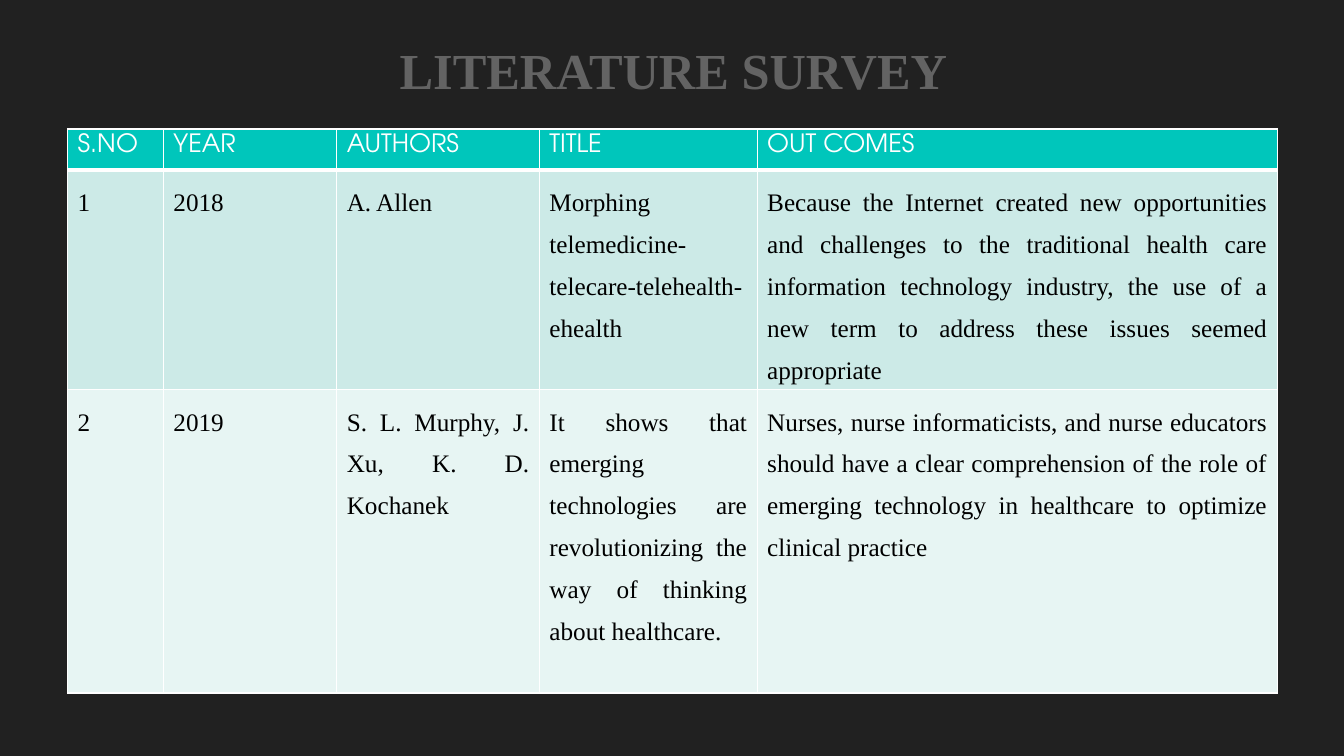
from dataclasses import dataclass

from lxml import etree
from pptx import Presentation
from pptx.dml.color import RGBColor
from pptx.enum.text import PP_ALIGN
from pptx.oxml.ns import qn
from pptx.table import _Cell
from pptx.text.text import TextFrame
from pptx.util import Inches, Pt

LEFT, CENTER, JUSTIFY = PP_ALIGN.LEFT, PP_ALIGN.CENTER, PP_ALIGN.JUSTIFY
DARK = RGBColor(0x21, 0x21, 0x21)
GRAY = RGBColor(0x63, 0x63, 0x63)
WHITE = RGBColor(0xFF, 0xFF, 0xFF)
BLACK = RGBColor(0, 0, 0)
TEAL = RGBColor(0x00, 0xC6, 0xBB)
MINT = RGBColor(0xCC, 0xEA, 0xE7)
PALE = RGBColor(0xE7, 0xF5, 0xF3)
SERIF, SANS = "Times New Roman", "TeX Gyre Adventor"


@dataclass
class Row:
    height: float
    fill: RGBColor
    texts: tuple[str, ...]


WIDTHS = (0.95, 1.72, 2.01, 2.16, 5.16)
ROWS = (
    Row(0.41, TEAL, ("S.NO", "YEAR", "AUTHORS", "TITLE", "OUT COMES")),
    Row(2.17, MINT, (
        "1", "2018", "A. Allen",
        "Morphing telemedicine-telecare-telehealth-ehealth",
        "Because the Internet created new opportunities and challenges to the "
        "traditional health care information technology industry, the use of a "
        "new term to address these issues seemed appropriate")),
    Row(3.01, PALE, (
        "2", "2019", "S. L. Murphy, J. Xu, K. D. Kochanek",
        "It shows that emerging technologies are revolutionizing the way of "
        "thinking about healthcare.",
        "Nurses, nurse informaticists, and nurse educators should have a clear "
        "comprehension of the role of emerging technology in healthcare to "
        "optimize clinical practice")),
)


def write(frame: TextFrame, text: str, *, size: float = 18, font: str = SERIF,
          color: RGBColor = BLACK, bold: bool = False,
          align: PP_ALIGN = JUSTIFY, space: float = 1.5) -> None:
    frame.word_wrap = True
    para = frame.paragraphs[0]
    para.alignment, para.line_spacing = align, space
    run = para.add_run()
    run.text = text
    run.font.size, run.font.name, run.font.bold = Pt(size), font, bold
    run.font.color.rgb = color


def border(cell: _Cell, base: float) -> None:
    """Draw white cell sides, with the bottom one `base` points wide."""
    props = cell._tc.get_or_add_tcPr()
    for spot, side in enumerate("LRTB"):
        width = base if side == "B" else 1
        line = etree.Element(qn(f"a:ln{side}"), w=str(Pt(width)))
        fill = etree.SubElement(line, qn("a:solidFill"))
        etree.SubElement(fill, qn("a:srgbClr"), val=str(WHITE))
        props.insert(spot, line)


def main() -> None:
    deck = Presentation()
    deck.slide_width, deck.slide_height = Inches(13.33), Inches(7.5)
    slide = deck.slides.add_slide(deck.slide_layouts[6])
    slide.background.fill.solid()
    slide.background.fill.fore_color.rgb = DARK

    high = sum(row.height for row in ROWS)
    table = slide.shapes.add_table(
        len(ROWS), len(WIDTHS), Inches(0.67), Inches(1.28),
        Inches(sum(WIDTHS)), Inches(high)).table
    for col, width in zip(table.columns, WIDTHS):
        col.width = Inches(width)
    for r, row in enumerate(ROWS):
        table.rows[r].height = Inches(row.height)
        for c, text in enumerate(row.texts):
            cell = table.cell(r, c)
            cell.fill.solid()
            cell.fill.fore_color.rgb = row.fill
            border(cell, 1 if r else 3)
            if r:
                write(cell.text_frame, text)
            else:
                write(cell.text_frame, text, font=SANS, color=WHITE,
                      align=LEFT, space=1)

    title = slide.shapes.add_textbox(
        Inches(1.48), Inches(-0.14), Inches(9.4), Inches(1.02)).text_frame
    title.margin_top = Inches(0.11)
    write(title, "LITERATURE SURVEY", size=36, color=GRAY, bold=True,
          align=CENTER, space=1.7)
    para = title.paragraphs[0]
    para.level = 2
    para._p.get_or_add_pPr().set("marL", str(Inches(1)))

    deck.save("out.pptx")


if __name__ == "__main__":
    main()
